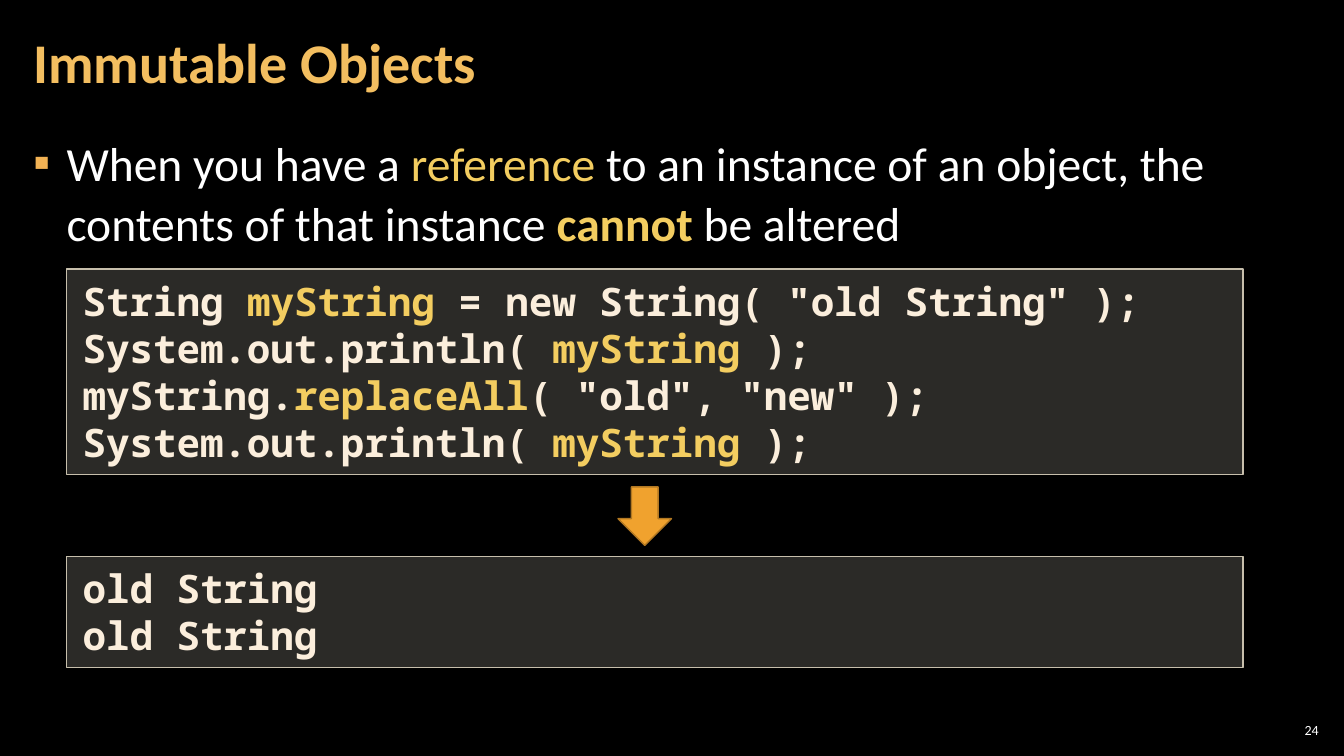
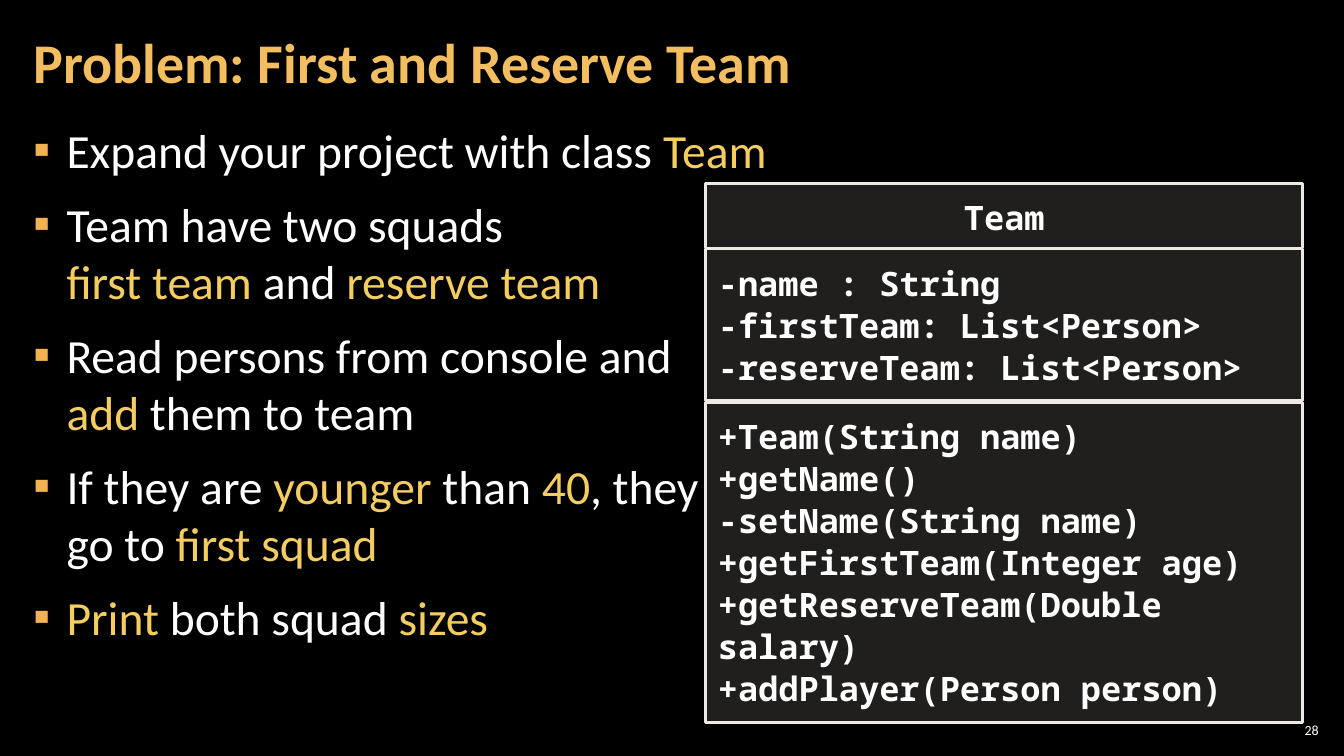
"""Build two slides on immutable objects and a team class exercise."""
from dataclasses import dataclass

from lxml import etree
from pptx import Presentation
from pptx.dml.color import RGBColor
from pptx.enum import shapes, text
from pptx.oxml import ns
from pptx.util import Inches, Pt


@dataclass(frozen=True)
class Theme:
    """Colours, fonts and type sizes shared by the slides."""
    background: str = "000000"
    title: str = "F3BE60"
    body: str = "FFFFFF"
    accent: str = "F3CD60"
    bullet: str = "F2B254"
    code: str = "FBEEDC"
    panel: str = "D9D5C7"
    code_border: str = "C7BFAC"
    class_border: str = "ECEAE3"
    arrow: str = "F0A22E"
    arrow_border: str = "B27822"
    font: str = "Calibri"
    mono: str = "Noto Sans Mono"
    title_size: int = 40
    body_size: int = 34
    code_size: int = 28
    class_size: int = 24
    number_size: int = 10


THEME = Theme()
TITLE_BOX = (0.21, 0.04, 10.47, 1.21)
NUMBER_BOX = (12.65, 7.14, 0.47, 0.21)
ACCENT, STRONG = "|", "!"

IMMUTABLE = {
    "title": "Immutable Objects",
    "number": "24",
    "box": (0.21, 1.26, 12.91, 6.09),
    "spacing": 1.05,
    "bullets": [
        "When you have a |reference| to an instance of an object, the "
        "contents of that instance\u00a0|!cannot|\u00a0be altered",
    ],
}
CODE = [
    'String |myString| = new String( "old String" );',
    "System.out.println( |myString| );",
    'myString.|replaceAll|( "old", "new" );',
    "System.out.println( |myString |);",
]
OUTPUT = ["old String", "old String"]
CODE_PANELS = [(CODE, 2.67, 2.04), (OUTPUT, 5.52, 1.1)]
ARROW_BOX = (6.13, 4.83, 0.53, 0.58)

TEAM = {
    "title": "Problem: First and Reserve Team",
    "number": "28",
    "box": (0.21, 1.16, 7.71, 6.09),
    "spacing": 1.0,
    "bullets": [
        "Expand your project with class |Team|",
        "Team have two squads\n|first team |and |reserve team|",
        "Read persons from console and\n|add| them to team",
        "If they are |younger| than |40|, they \ngo to |first squad|",
        "|Print |both squad |sizes|",
    ],
}
CLASS_NAME = ["Team"]
CLASS_FIELDS = [
    "-name : String",
    "-firstTeam: List<Person>",
    "-reserveTeam: List<Person>",
]
CLASS_METHODS = [
    "+Team(String name)",
    "+getName()",
    "-setName(String name)",
    "+getFirstTeam(Integer age)",
    "+getReserveTeam(Double salary)",
    "+addPlayer(Person person)",
]
CLASS_PANELS = [
    (CLASS_NAME, 1.82, 0.64, text.PP_ALIGN.CENTER),
    (CLASS_FIELDS, 2.47, 1.5, text.PP_ALIGN.LEFT),
    (CLASS_METHODS, 3.99, 3.18, text.PP_ALIGN.LEFT),
]


def inches(box):
    """Turn a box of numbers into lengths."""
    return [Inches(value) for value in box]


def set_frame(frame, side, edge, anchor=text.MSO_ANCHOR.TOP):
    """Set margins, wrapping and anchor of a text frame."""
    frame.word_wrap = True
    frame.auto_size = text.MSO_AUTO_SIZE.NONE
    frame.vertical_anchor = anchor
    frame.margin_left = frame.margin_right = Inches(side)
    frame.margin_top = frame.margin_bottom = Inches(edge)


def add_runs(paragraph, line, size, color, font=THEME.font, bold=False):
    """Add the runs of a line, every second marked part in the accent colour."""
    for index, part in enumerate(line.split(ACCENT)):
        strong = part.startswith(STRONG)
        for row, piece in enumerate(part.removeprefix(STRONG).split("\n")):
            if row:
                paragraph.add_line_break()
            if not piece:
                continue
            run = paragraph.add_run()
            run.text = piece
            run.font.name, run.font.size = font, Pt(size)
            run.font.bold = bold or strong
            run.font.color.rgb = RGBColor.from_string(
                THEME.accent if index % 2 else color)


def add_lines(frame, lines):
    """Yield a paragraph for each line."""
    for index, line in enumerate(lines):
        yield frame.add_paragraph() if index else frame.paragraphs[0], line


def add_bullet(paragraph):
    """Give a paragraph the square bullet and hanging indent."""
    props = paragraph._p.get_or_add_pPr()
    props.set("marL", str(Inches(0.33)))
    props.set("indent", str(-Inches(0.33)))
    color = etree.SubElement(props, ns.qn("a:buClr"))
    etree.SubElement(color, ns.qn("a:srgbClr"), val=THEME.bullet)
    etree.SubElement(props, ns.qn("a:buFont"), typeface=THEME.font)
    etree.SubElement(props, ns.qn("a:buChar"), char="▪")


def add_figure(parent, kind, box, fill, border, width, opacity=100):
    """Add a filled, outlined preset shape."""
    figure = parent.add_shape(kind, *inches(box))
    figure.shadow.inherit = False
    figure.fill.solid()
    figure.fill.fore_color.rgb = RGBColor.from_string(fill)
    figure.line.color.rgb = RGBColor.from_string(border)
    figure.line.width = Pt(width)
    if opacity < 100:
        color = figure._element.spPr.find(ns.qn("a:solidFill"))[0]
        etree.SubElement(color, ns.qn("a:alpha"), val=str(opacity * 1000))
    return figure


def add_panel(parent, lines, box, border, width, opacity, margins, size,
              color, align=text.PP_ALIGN.LEFT, spacing=None):
    """Add a translucent panel of monospaced lines."""
    panel = add_figure(parent, shapes.MSO_SHAPE.RECTANGLE, box,
                       THEME.panel, border, width, opacity)
    set_frame(panel.text_frame, *margins)
    for paragraph, line in add_lines(panel.text_frame, lines):
        paragraph.alignment = align
        paragraph.line_spacing = spacing
        add_runs(paragraph, line, size, color, THEME.mono, True)


def add_slide(prs, content):
    """Add a slide with its title, bullets and number."""
    slide = prs.slides.add_slide(prs.slide_layouts[5])
    title = slide.shapes.title
    title.left, title.top, title.width, title.height = inches(TITLE_BOX)
    set_frame(title.text_frame, 0.12, 0.04, text.MSO_ANCHOR.MIDDLE)
    heading = title.text_frame.paragraphs[0]
    heading.alignment = text.PP_ALIGN.LEFT
    heading.line_spacing = 0.9
    add_runs(heading, content["title"], THEME.title_size, THEME.title, bold=True)

    body = slide.shapes.add_textbox(*inches(content["box"])).text_frame
    set_frame(body, 0.12, 0.04)
    for paragraph, line in add_lines(body, content["bullets"]):
        paragraph.line_spacing = content["spacing"]
        paragraph.space_before = paragraph.space_after = Pt(6)
        add_bullet(paragraph)
        add_runs(paragraph, line, THEME.body_size, THEME.body)

    number = slide.shapes.add_textbox(*inches(NUMBER_BOX)).text_frame
    set_frame(number, 0.04, 0.04, text.MSO_ANCHOR.MIDDLE)
    number.paragraphs[0].alignment = text.PP_ALIGN.RIGHT
    add_runs(number.paragraphs[0], content["number"],
             THEME.number_size, THEME.body)
    return slide


def main():
    """Build and save the presentation."""
    prs = Presentation()
    prs.slide_width, prs.slide_height = Inches(13.33), Inches(7.5)
    backdrop = prs.slide_master.background.fill
    backdrop.solid()
    backdrop.fore_color.rgb = RGBColor.from_string(THEME.background)

    immutable = add_slide(prs, IMMUTABLE)
    for lines, top, height in CODE_PANELS:
        add_panel(immutable.shapes, lines, (0.66, top, 11.67, height),
                  THEME.code_border, 1, 20, (0.16, 0.08),
                  THEME.code_size, THEME.code)
    add_figure(immutable.shapes, shapes.MSO_SHAPE.DOWN_ARROW, ARROW_BOX,
               THEME.arrow, THEME.arrow_border, 1)

    team = add_slide(prs, TEAM)
    diagram = team.shapes.add_group_shape()
    for lines, top, height, align in CLASS_PANELS:
        add_panel(diagram.shapes, lines, (7, top, 5.92, height),
                  THEME.class_border, 2, 15, (0.12, 0.12),
                  THEME.class_size, THEME.body, align, Pt(30))
    prs.save("out.pptx")


if __name__ == "__main__":
    main()
